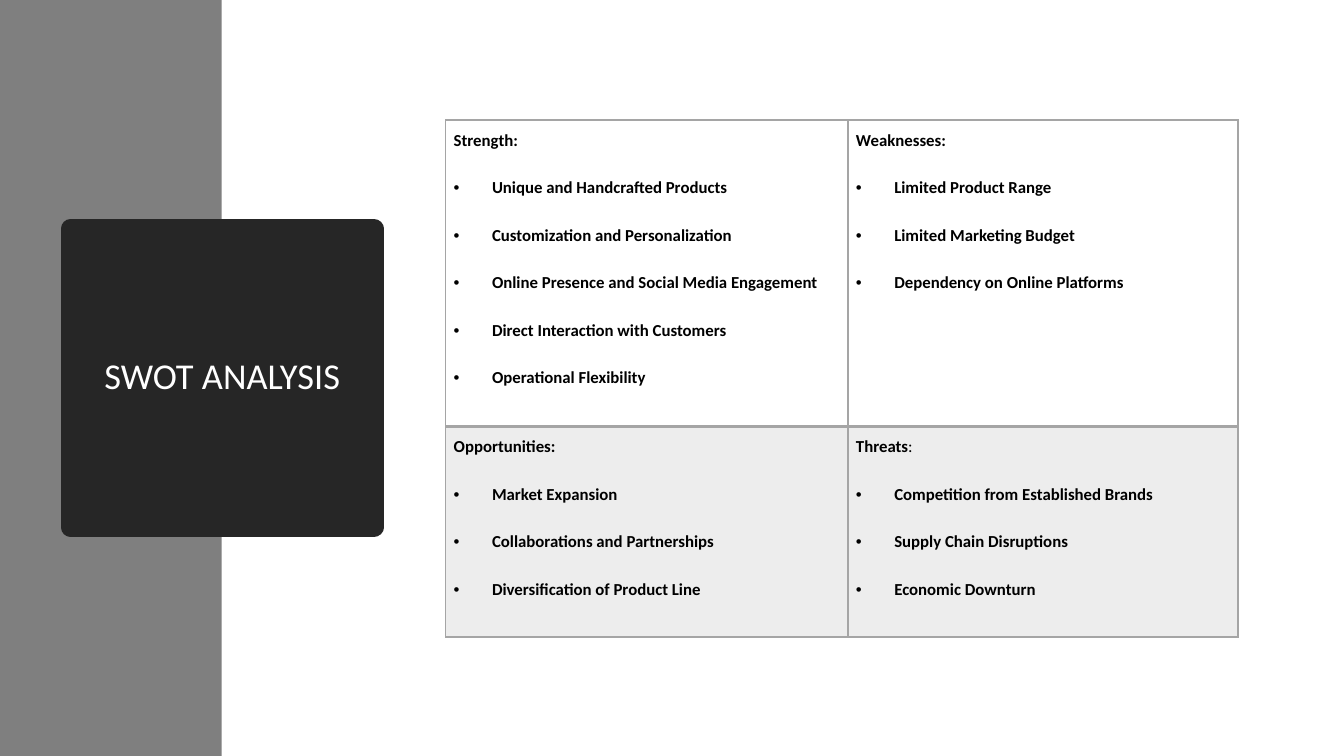
from lxml.etree import SubElement
from pptx import Presentation
from pptx.dml.color import RGBColor
from pptx.enum.shapes import MSO_SHAPE
from pptx.enum.text import MSO_ANCHOR, PP_ALIGN
from pptx.oxml.ns import qn
from pptx.util import Inches, Pt

COLORS = {"band": "7F7F7F", "title": "262626", "title_text": "FFFFFF",
          "text": "000000", "border": "A5A5A5", "shade": "EDEDED"}

# Each quadrant: heading, whether its colon is bold, points
SWOT = [
    [("Strength", True, ["Unique and Handcrafted Products",
                         "Customization and Personalization",
                         "Online Presence and Social Media Engagement",
                         "Direct Interaction with Customers",
                         "Operational Flexibility"]),
     ("Weaknesses", True, ["Limited Product Range",
                           "Limited Marketing Budget",
                           "Dependency on Online Platforms"])],
    [("Opportunities", True, ["Market Expansion",
                              "Collaborations and Partnerships",
                              "Diversification of Product Line"]),
     ("Threats", False, ["Competition from Established Brands",
                         "Supply Chain Disruptions",
                         "Economic Downturn"])],
]


def rgb(name):
    return RGBColor.from_string(COLORS[name])


def set_all(target, values):
    for name, value in values.items():
        setattr(target, name, value)


class SwotSlide:
    font = "Calibri"
    cell_format = {"margin_left": Inches(0.08), "margin_right": Inches(0.08),
                   "margin_top": 0, "margin_bottom": 0,
                   "vertical_anchor": MSO_ANCHOR.TOP}
    paragraph_format = {"line_spacing": 1.5, "alignment": PP_ALIGN.JUSTIFY}
    indent = Inches(0.38)

    def __init__(self, deck):
        self.slide = deck.slides.add_slide(deck.slide_layouts[5])

    def add_run(self, paragraph, text, color, size, bold=False):
        run = paragraph.add_run()
        run.text = text
        set_all(run.font, {"name": self.font, "size": Pt(size), "bold": bold})
        run.font.color.rgb = rgb(color)

    def add_band(self, left, top, width, height):
        band = self.slide.shapes.add_shape(
            MSO_SHAPE.RECTANGLE, *map(Inches, (left, top, width, height)))
        band.shadow.inherit = False
        band.fill.solid()
        band.fill.fore_color.rgb = rgb("band")
        band.line.fill.background()

    def add_title(self, text, left, top, width, height):
        """Format the title placeholder and bring it in front of the band."""
        title = self.slide.shapes.title
        set_all(title, {"left": Inches(left), "top": Inches(top),
                        "width": Inches(width), "height": Inches(height)})
        title.fill.solid()
        title.fill.fore_color.rgb = rgb("title")
        title.line.color.rgb = rgb("title")
        title.line.width = Pt(13.75)
        SubElement(title.line.fill._xPr, qn("a:round"))
        set_all(title.text_frame, {"word_wrap": True,
                                   "vertical_anchor": MSO_ANCHOR.MIDDLE})
        heading = title.text_frame.paragraphs[0]
        set_all(heading, {"alignment": PP_ALIGN.CENTER, "line_spacing": 0.9})
        self.add_run(heading, text, "title_text", 26)
        self.slide.shapes._spTree.append(title._element)

    def add_borders(self, cell, widths):
        properties = cell._tc.get_or_add_tcPr()
        for side, width in widths.items():
            line = SubElement(properties, qn(f"a:ln{side}"), w=str(Pt(width)))
            fill = SubElement(line, qn("a:solidFill"))
            SubElement(fill, qn("a:srgbClr"), val=COLORS["border"])

    def fill_quadrant(self, cell, heading, bold_colon, points):
        set_all(cell, self.cell_format)
        first = cell.text_frame.paragraphs[0]
        set_all(first, self.paragraph_format)
        self.add_run(first, heading, "text", 12, True)
        self.add_run(first, ":", "text", 12, bold_colon)
        for point in points:
            bullet = cell.text_frame.add_paragraph()
            properties = bullet._p.get_or_add_pPr()
            properties.set("marL", str(self.indent))
            properties.set("indent", str(-self.indent))
            SubElement(properties, qn("a:buFont"), typeface="Arial")
            SubElement(properties, qn("a:buChar"), char="•")
            set_all(bullet, {**self.paragraph_format, "space_before": Pt(12)})
            self.add_run(bullet, point, "text", 12, True)

    def add_matrix(self, quadrants, left, top, widths, heights):
        matrix = self.slide.shapes.add_table(
            len(heights), len(widths), Inches(left), Inches(top),
            Inches(sum(widths)), Inches(sum(heights))).table
        set_all(matrix, {"first_row": False, "horz_banding": False})
        for column, width in zip(matrix.columns, widths):
            column.width = Inches(width)
        for r, (row, height) in enumerate(zip(matrix.rows, heights)):
            row.height = Inches(height)
            for cell, quadrant in zip(row.cells, quadrants[r]):
                self.fill_quadrant(cell, *quadrant)
                # The line between the two rows is the heavy one
                self.add_borders(cell, {"L": 1, "R": 1, "T": 1 + r, "B": 2 - r})
                if r:
                    cell.fill.solid()
                    cell.fill.fore_color.rgb = rgb("shade")
                else:
                    cell.fill.background()


def main():
    deck = Presentation()
    set_all(deck, {"slide_width": Inches(13.33), "slide_height": Inches(7.5)})
    swot = SwotSlide(deck)
    swot.add_band(0, 0, 2.2, 7.5)
    swot.add_title("SWOT ANALYSIS", 0.7, 2.27, 3.01, 2.96)
    swot.add_matrix(SWOT, 4.42, 1.19, [3.99, 3.87], [3.04, 2.09])
    deck.save("out.pptx")


if __name__ == "__main__":
    main()
